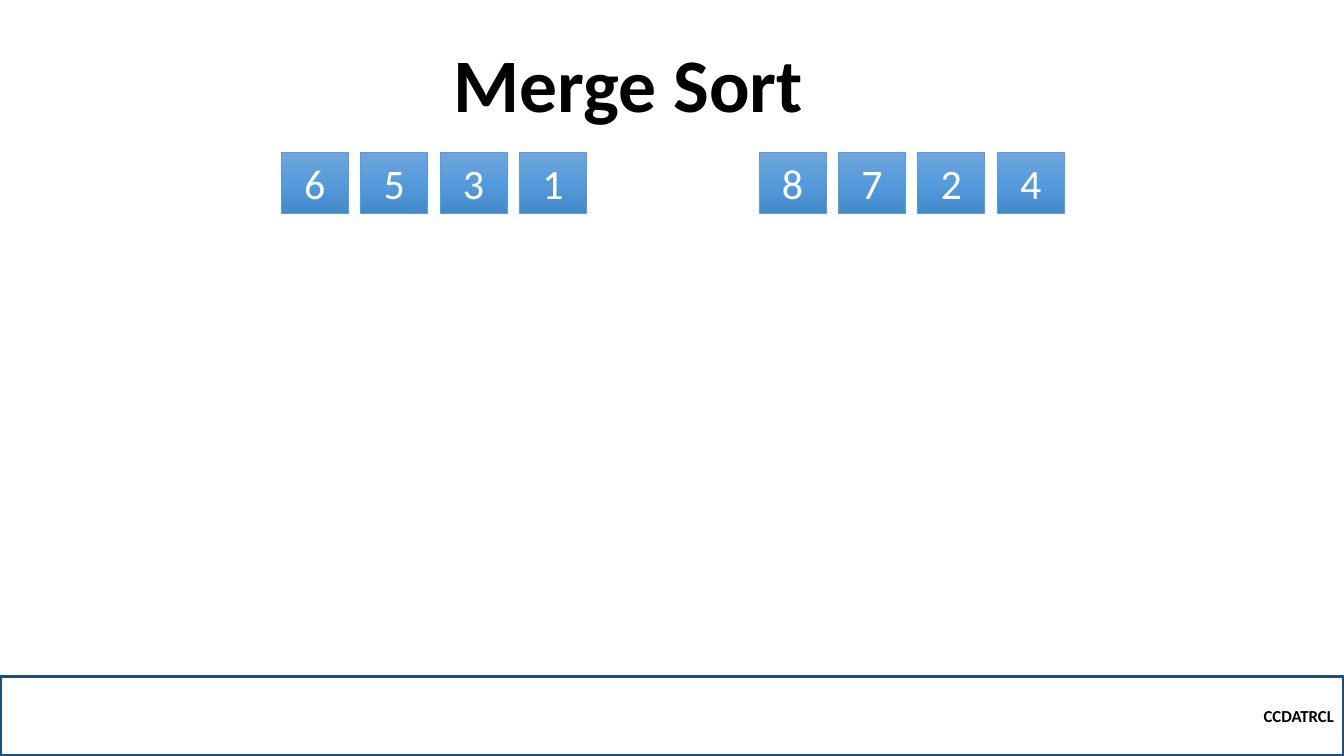
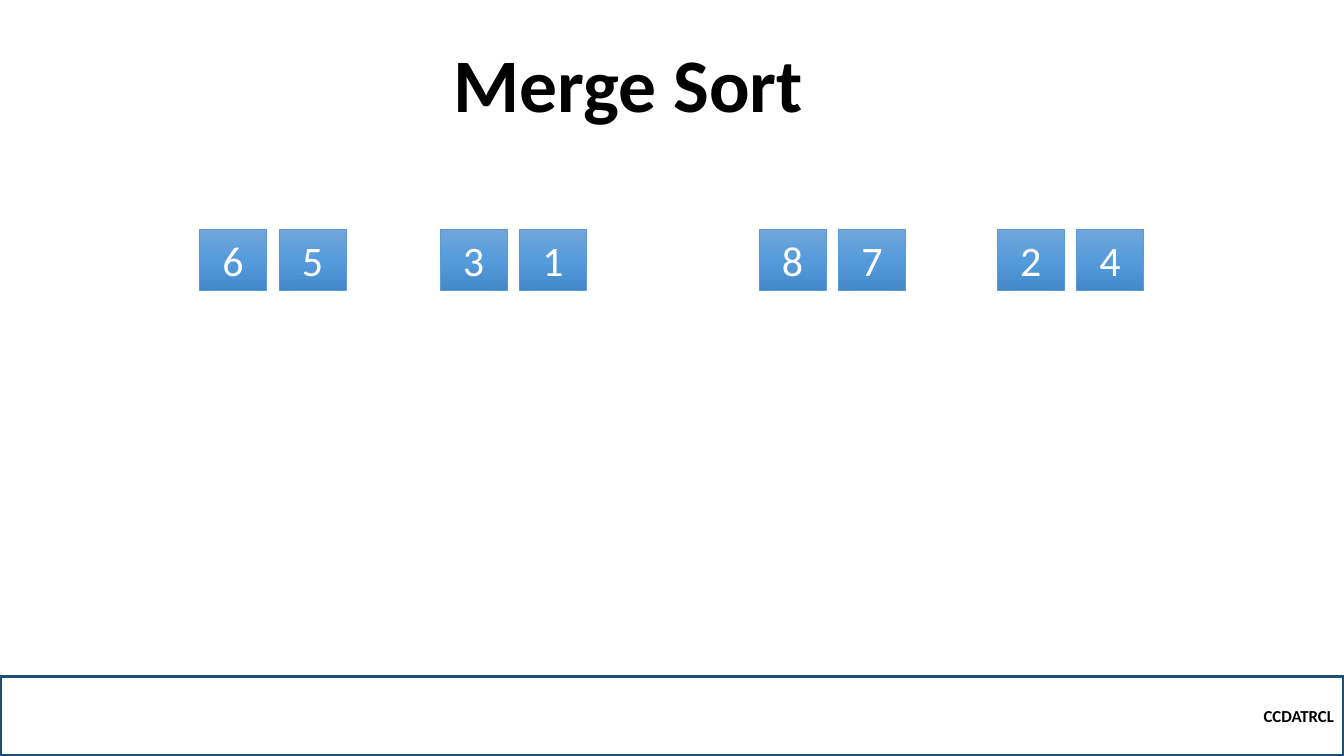
"""Build two slides that show the splitting steps of a merge sort."""
from copy import deepcopy
from dataclasses import dataclass

from pptx import Presentation
from pptx.dml.color import RGBColor
from pptx.enum.shapes import MSO_SHAPE
from pptx.enum.text import MSO_ANCHOR, MSO_AUTO_SIZE, PP_ALIGN
from pptx.oxml.ns import qn
from pptx.util import Cm, Pt

RECTANGLE = MSO_SHAPE.RECTANGLE
BOTTOM, MIDDLE = MSO_ANCHOR.BOTTOM, MSO_ANCHOR.MIDDLE
CENTER, RIGHT = PP_ALIGN.CENTER, PP_ALIGN.RIGHT
NO_FIT = MSO_AUTO_SIZE.NONE
TITLE_ONLY = 5


@dataclass(frozen=True)
class Theme:
    """Colours, fonts and sizes shared by the slides."""
    font: str = "Calibri"
    ink: str = "000000"
    cell_ink: str = "FFFFFF"
    cell_line: str = "5B9BD5"
    band_line: str = "1F4E79"
    cell_gradient: tuple = ((0, "71A6DB"), (0.5, "559BDB"), (1, "448ACA"))
    title_size: float = 54
    cell_size: float = 30
    footer_size: float = 12
    cell_line_width: float = 0.5
    band_line_width: float = 2.25


THEME = Theme()
SLIDE_WIDTH, SLIDE_HEIGHT = 33.87, 19.05
TITLE_BOX = (2.03, 1.37, 27.61, 2.01)
FOOTER_BOX = (0, 17.04, SLIDE_WIDTH, 2.01)
CELL_WIDTH, CELL_HEIGHT, CELL_PITCH = 1.69, 1.55, 2.0

STEPS = (
    (3.83, ((7.09, "6531"), (19.13, "8724"))),
    (5.78, ((5.03, "65"), (11.09, "31"), (19.13, "87"), (25.13, "24"))),
)


def apply(target, formats):
    """Set every attribute named in formats on target."""
    for name, value in formats.items():
        setattr(target, name, value)


def write(shape, text, size, color, bold=False, align=CENTER, anchor=MIDDLE):
    """Put one formatted paragraph into a shape."""
    frame = shape.text_frame
    frame.text = text
    apply(frame, {"word_wrap": True, "vertical_anchor": anchor, "auto_size": NO_FIT})
    paragraph = frame.paragraphs[0]
    paragraph.alignment = align
    font = paragraph.runs[0].font
    apply(font, {"name": THEME.font, "size": Pt(size), "bold": bold})
    font.color.rgb = RGBColor.from_string(color)
    return paragraph


def add_box(slide, box, line_color, line_width):
    """Add an outlined rectangle without a shadow."""
    shape = slide.shapes.add_shape(RECTANGLE, *map(Cm, box))
    shape.shadow.inherit = False
    shape.line.color.rgb = RGBColor.from_string(line_color)
    shape.line.width = Pt(line_width)
    return shape


def fill_gradient(shape, stops):
    """Fill a shape from top to bottom with the given colour stops."""
    fill = shape.fill
    fill.gradient()
    fill.gradient_angle = 270
    stop_list = shape._element.spPr.find(qn("a:gradFill")).find(qn("a:gsLst"))
    for _ in stops[len(stop_list):]:
        stop_list.append(deepcopy(stop_list[0]))
    for stop, (position, color) in zip(fill.gradient_stops, stops):
        stop.position = position
        stop.color.rgb = RGBColor.from_string(color)


def add_title(slide, box, text):
    """Move and format the title placeholder."""
    title = slide.shapes.title
    apply(title, dict(zip(("left", "top", "width", "height"), map(Cm, box))))
    paragraph = write(title, text, THEME.title_size, THEME.ink, bold=True, anchor=BOTTOM)
    paragraph.line_spacing = 0.9


def add_footer(slide, box, text):
    """Add the outlined footer band."""
    band = add_box(slide, box, THEME.band_line, THEME.band_line_width)
    band.fill.background()
    write(band, text, THEME.footer_size, THEME.ink, bold=True, align=RIGHT)


def add_sublist(slide, left, top, values):
    """Add a row of evenly spaced number cells."""
    for index, value in enumerate(values):
        box = (left + index * CELL_PITCH, top, CELL_WIDTH, CELL_HEIGHT)
        cell = add_box(slide, box, THEME.cell_line, THEME.cell_line_width)
        fill_gradient(cell, THEME.cell_gradient)
        write(cell, value, THEME.cell_size, THEME.cell_ink)


def add_step_slide(presentation, top, sublists):
    """Add one slide that shows the sublists of a step."""
    slide = presentation.slides.add_slide(presentation.slide_layouts[TITLE_ONLY])
    add_title(slide, TITLE_BOX, "Merge Sort")
    add_footer(slide, FOOTER_BOX, "CCDATRCL")
    for left, values in sublists:
        add_sublist(slide, left, top, values)


def main():
    """Build and save the presentation."""
    presentation = Presentation()
    apply(presentation, {"slide_width": Cm(SLIDE_WIDTH), "slide_height": Cm(SLIDE_HEIGHT)})
    for top, sublists in STEPS:
        add_step_slide(presentation, top, sublists)
    presentation.save("out.pptx")


main()
